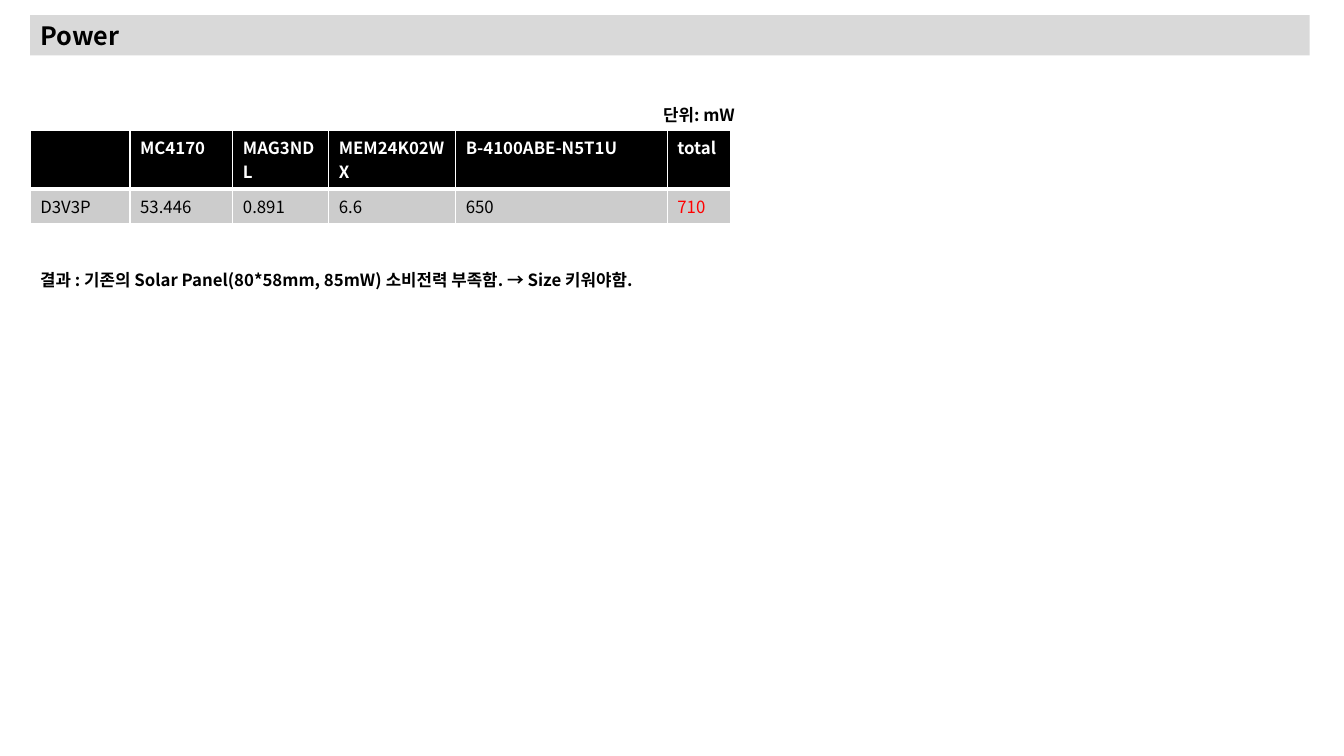
from dataclasses import dataclass

from lxml.etree import SubElement
from pptx import Presentation
from pptx.dml.color import RGBColor as Rgb
from pptx.enum.text import MSO_ANCHOR as Anchor, MSO_AUTO_SIZE as Fit, PP_ALIGN as Align
from pptx.oxml.ns import qn
from pptx.util import Emu, Inches, Pt


@dataclass(frozen=True)
class Theme:
    font: str = "Noto Sans CJK KR"
    black: str = "000000"
    white: str = "FFFFFF"
    bar: str = "D9D9D9"
    body: str = "CCCCCC"
    alert: str = "FF0000"
    head: int = 18
    text: int = 12
    thin: int = 1
    thick: int = 3


@dataclass(frozen=True)
class Box:
    left: float
    top: float
    width: float
    height: float


@dataclass(frozen=True)
class Note:
    text: str
    box: Box


@dataclass(frozen=True)
class Part:
    name: str
    power: str
    width: float
    color: str


THEME = Theme()
WIDE, HIGH = Inches(13.33), Inches(7.5)
EDGE = 2.25
BAR = Box(EDGE, 2, 95.2, 5.33)
GRID = Box(EDGE, 17.2, 52.14, 7.87)
ROWS = (3.87, 4)
NOTES = (
    Note("단위: mW", Box(48.6, 13.2, 9.23, 4)),
    Note(
        "결과 : 기존의 Solar Panel(80*58mm, 85mW) 소비전력 부족함. → Size 키워야함.",
        Box(EDGE, 35.07, 53.4, 4),
    ),
)
PARTS = (
    Part("", "D3V3P", 7.43, THEME.black),
    Part("MC4170", "53.446", 7.65, THEME.black),
    Part("MAG3NDL", "0.891", 7.13, THEME.black),
    Part("MEM24K02WX", "6.6", 9.45, THEME.black),
    Part("B-4100ABE-N5T1U", "650", 15.75, THEME.black),
    Part("total", "710", 4.73, THEME.alert),
)


def across(share: float) -> Emu:
    return Emu(round(WIDE * share / 100))


def down(share: float) -> Emu:
    return Emu(round(HIGH * share / 100))


def place(box: Box) -> tuple[Emu, Emu, Emu, Emu]:
    return across(box.left), down(box.top), across(box.width), down(box.height)


def write(frame, text: str, size: int, color: str, bold: bool = True) -> None:
    line = frame.paragraphs[0]
    line.alignment = Align.LEFT
    run = line.add_run()
    run.text = text
    font = run.font
    font.size, font.bold = Pt(size), bold
    font.color.rgb = Rgb.from_string(color)
    font.name = THEME.font
    SubElement(font._element, qn("a:ea"), typeface=THEME.font)


def border(cell, top: int, bottom: int) -> None:
    props = cell._tc.get_or_add_tcPr()
    sides = {"L": THEME.thin, "R": THEME.thin, "T": top, "B": bottom}
    for side, width in sides.items():
        line = SubElement(props, qn(f"a:ln{side}"), w=str(Pt(width)))
        fill = SubElement(line, qn("a:solidFill"))
        SubElement(fill, qn("a:srgbClr"), val=THEME.white)


def paint(cell, text: str, fill: str, color: str, bold: bool) -> None:
    cell.fill.solid()
    cell.fill.fore_color.rgb = Rgb.from_string(fill)
    if text:
        write(cell.text_frame, text, THEME.text, color, bold)


def add_title(slide, text: str) -> None:
    title = slide.shapes.title
    title.left, title.top, title.width, title.height = place(BAR)
    title.fill.solid()
    title.fill.fore_color.rgb = Rgb.from_string(THEME.bar)
    frame = title.text_frame
    frame.auto_size = Fit.NONE
    frame.vertical_anchor = Anchor.MIDDLE
    write(frame, text, THEME.head, THEME.black)


def add_note(slide, note: Note) -> None:
    frame = slide.shapes.add_textbox(*place(note.box)).text_frame
    frame.word_wrap = True
    write(frame, note.text, THEME.text, THEME.black)


def add_grid(slide) -> None:
    table = slide.shapes.add_table(len(ROWS), len(PARTS), *place(GRID)).table
    table.horz_banding = False
    for row, height in zip(table.rows, ROWS):
        row.height = down(height)
    for col, part in enumerate(PARTS):
        table.columns[col].width = across(part.width)
        head, body = table.cell(0, col), table.cell(1, col)
        border(head, THEME.thin, THEME.thick)
        border(body, THEME.thick, THEME.thin)
        paint(head, part.name, THEME.black, THEME.white, True)
        paint(body, part.power, THEME.body, part.color, False)


def main() -> None:
    """Build the power budget slide and save it."""
    deck = Presentation()
    deck.slide_width, deck.slide_height = WIDE, HIGH
    slide = deck.slides.add_slide(deck.slide_layouts[5])
    add_title(slide, "Power")
    add_grid(slide)
    for note in NOTES:
        add_note(slide, note)
    deck.save("out.pptx")


if __name__ == "__main__":
    main()
